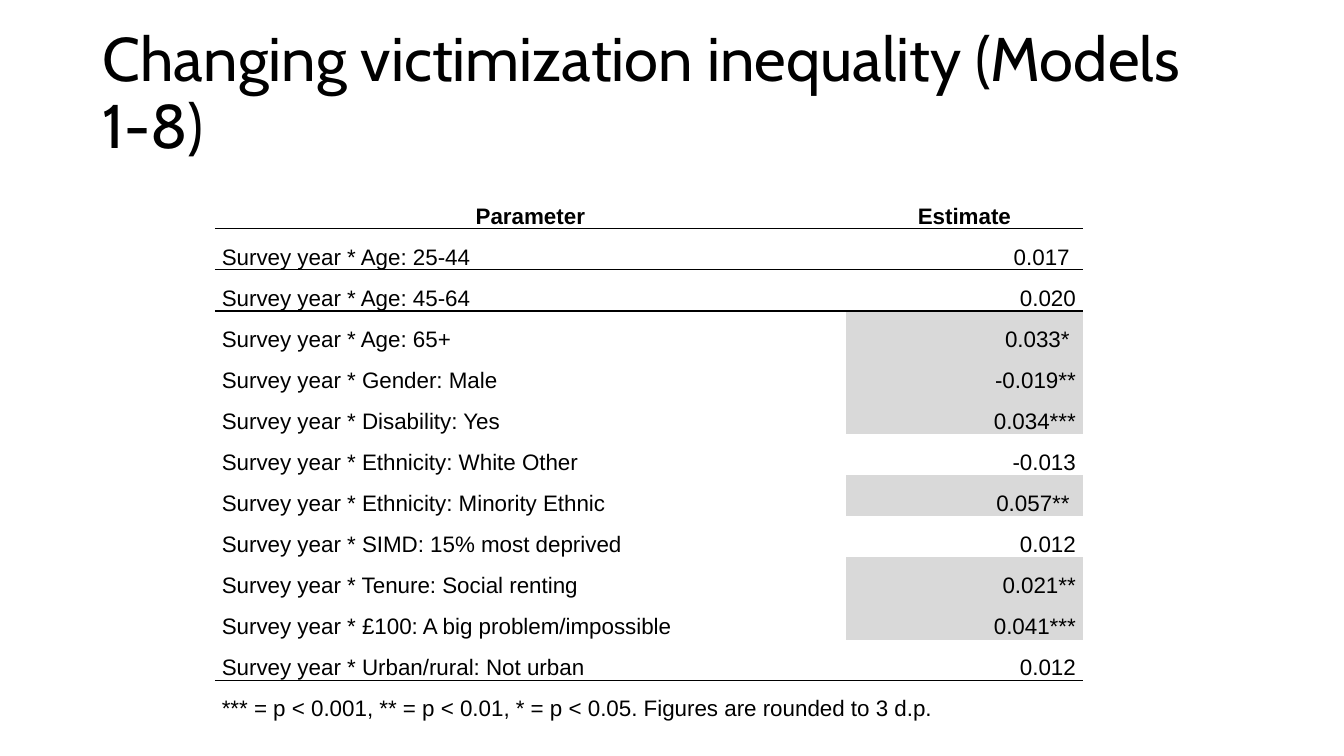
from lxml import etree
from pptx import Presentation
from pptx.dml.color import RGBColor
from pptx.enum import text as tx
from pptx.oxml import ns
from pptx.util import Inches, Pt

HEAD = ("Parameter", "Estimate")
ROWS = [
    ("Age: 25-44", "0.017 "),
    ("Age: 45-64", "0.020"),
    ("Age: 65+", "0.033* "),
    ("Gender: Male", "-0.019**"),
    ("Disability: Yes", "0.034***"),
    ("Ethnicity: White Other", "-0.013"),
    ("Ethnicity: Minority Ethnic", "0.057** "),
    ("SIMD: 15% most deprived", "0.012"),
    ("Tenure: Social renting", "0.021**"),
    ("£100: A big problem/impossible", "0.041***"),
    ("Urban/rural: Not urban", "0.012"),
]
NOTE = "*** = p < 0.001, ** = p < 0.01, * = p < 0.05. Figures are rounded to 3 d.p."
RULED = (0, 1, len(ROWS))
STYLE = "{2D5ABB26-0587-4C30-8999-92F81FD0307C}"
LEFT, CENTER, RIGHT = tx.PP_ALIGN.LEFT, tx.PP_ALIGN.CENTER, tx.PP_ALIGN.RIGHT


def color(code):
    """Turn a hex string into a colour."""
    return RGBColor.from_string(code)


def write(frame, words, size, face, align=LEFT, bold=False, gap=1.07, after=0):
    """Put one formatted paragraph into a text frame."""
    para = frame.paragraphs[0]
    para.text = words
    para.alignment = align
    para.line_spacing = gap
    para.space_after = Pt(after)
    for run in para.runs:
        font = run.font
        font.size, font.name, font.bold = Pt(size), face, bold
        font.color.rgb = color("000000")


def add_title(slide, words):
    """Add the slide title."""
    box = slide.shapes.add_textbox(Inches(0.92), Inches(0.22), Inches(11.5), Inches(1.45))
    frame = box.text_frame
    frame.word_wrap = True
    frame.vertical_anchor = tx.MSO_ANCHOR.MIDDLE
    write(frame, words, 44, "Cabin", gap=0.9)


def rule(cell, side):
    """Draw a thin black border on one side of a cell."""
    line = etree.Element(ns.qn("a:" + side), w=str(Pt(1)))
    fill = etree.SubElement(line, ns.qn("a:solidFill"))
    etree.SubElement(fill, ns.qn("a:srgbClr"), val="000000")
    cell._tc.get_or_add_tcPr().insert(0, line)


def fill_cell(cell, words, align, head=False):
    """Write a table cell and shade it if its estimate is significant."""
    cell.margin_left = cell.margin_right = Inches(0.07)
    cell.margin_top = cell.margin_bottom = 0
    cell.vertical_anchor = tx.MSO_ANCHOR.BOTTOM
    write(cell.text_frame, words, 16, "Arial", align, head, after=8 if head else 0)
    if align == RIGHT and "*" in words:
        cell.fill.solid()
        cell.fill.fore_color.rgb = color("D9D9D9")
    else:
        cell.fill.background()


def add_grid(slide):
    """Add the table of estimates with its closing note."""
    count = len(ROWS) + 2
    frame = slide.shapes.add_table(
        count, 2, Inches(2.13), Inches(1.44), Inches(8.61), Inches(5.72))
    grid = frame.table
    grid.first_row = grid.horz_banding = False
    grid._tbl.tblPr.find(ns.qn("a:tableStyleId")).text = STYLE
    for col, width in zip(grid.columns, (6.26, 2.35)):
        col.width = Inches(width)
    for row in grid.rows:
        row.height = Inches((5.72 - 0.83) / (count - 1))
    grid.rows[0].height = Inches(0.83)

    for col, words in enumerate(HEAD):
        fill_cell(grid.cell(0, col), words, CENTER, True)
    for row, (name, value) in enumerate(ROWS, 1):
        fill_cell(grid.cell(row, 0), "Survey year * " + name, LEFT)
        fill_cell(grid.cell(row, 1), value, RIGHT)
    note = grid.cell(count - 1, 0)
    note.merge(grid.cell(count - 1, 1))
    fill_cell(note, NOTE, LEFT)

    for row in RULED:
        for col in range(2):
            rule(grid.cell(row, col), "lnB")
            rule(grid.cell(row + 1, col), "lnT")


def main():
    """Build the slide and save it."""
    deck = Presentation()
    deck.slide_width, deck.slide_height = Inches(13.33), Inches(7.5)
    slide = deck.slides.add_slide(deck.slide_layouts[6])
    add_title(slide, "Changing victimization inequality (Models 1-8)")
    add_grid(slide)
    deck.save("out.pptx")


if __name__ == "__main__":
    main()
